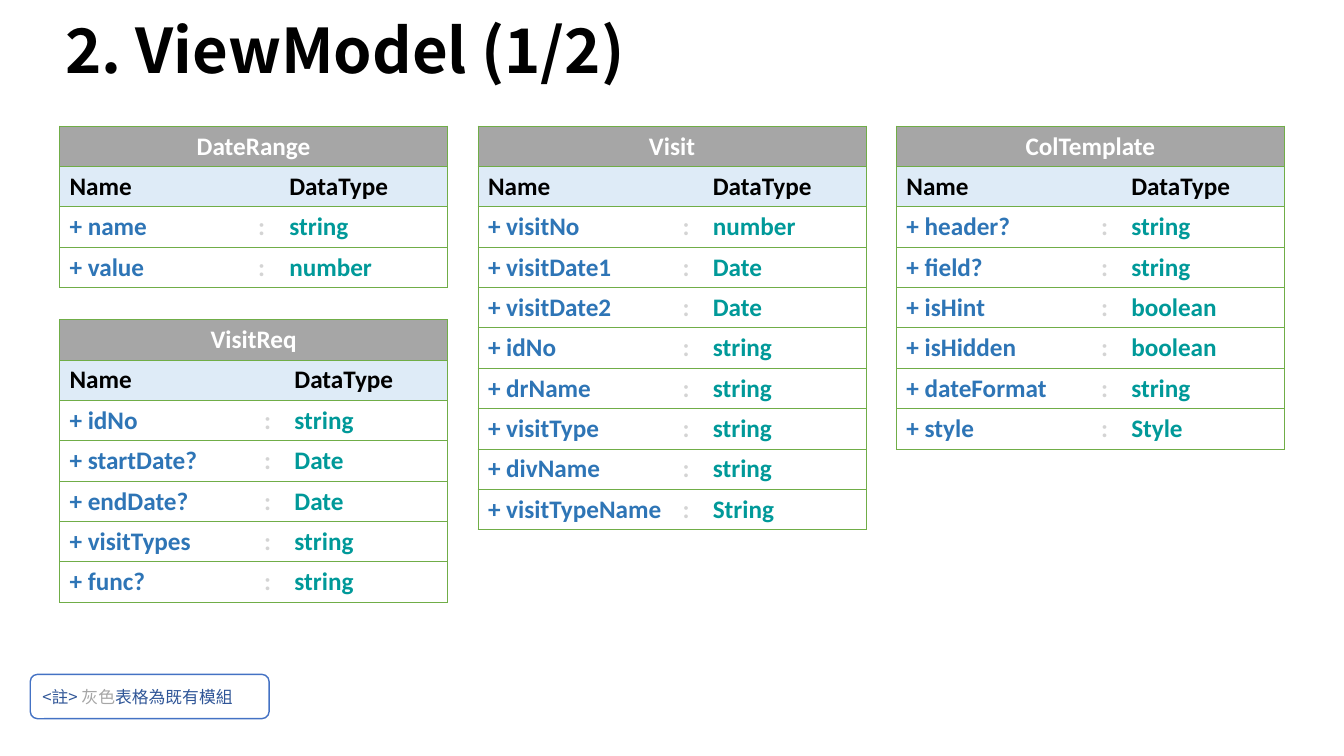
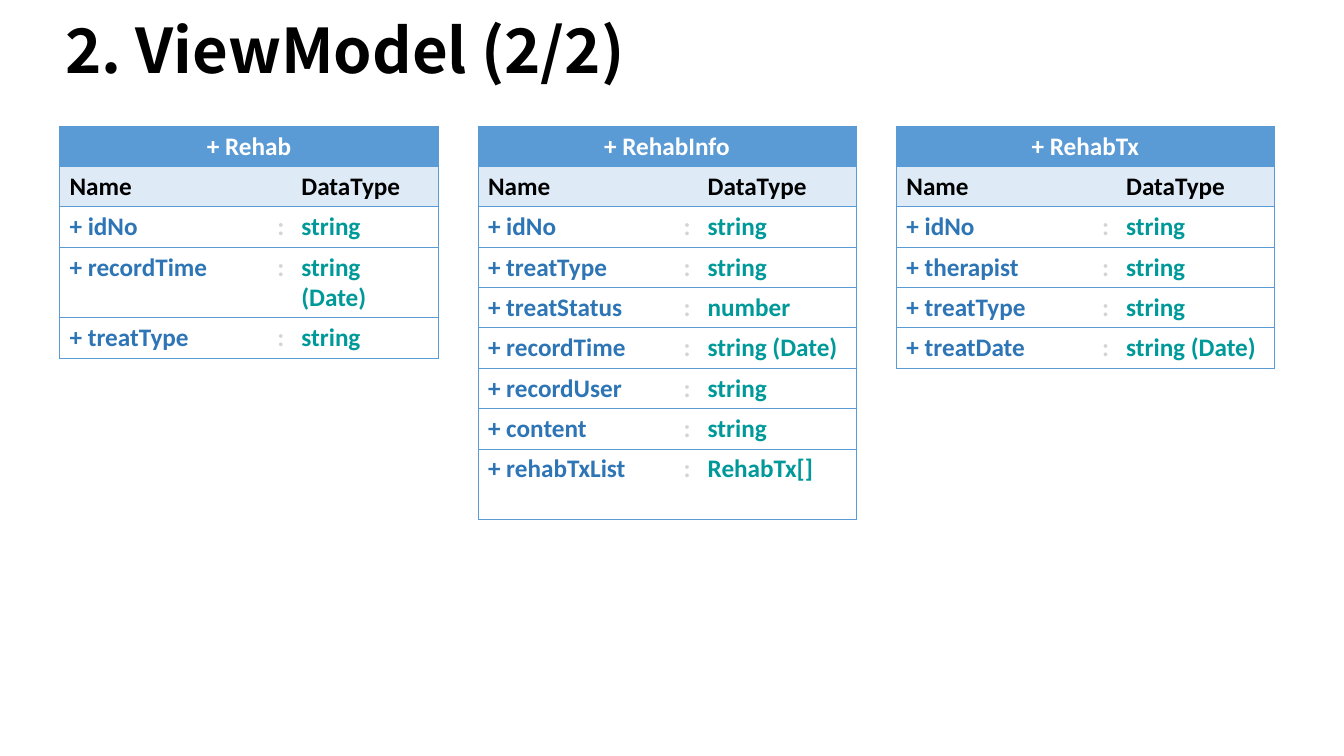
"""Builds two slides of view model tables."""
from lxml import etree
from pptx import Presentation
from pptx.dml.color import RGBColor
from pptx.enum.shapes import MSO_SHAPE
from pptx.enum.text import MSO_ANCHOR, PP_ALIGN
from pptx.oxml.ns import qn
from pptx.util import Inches, Pt

ROUNDED = MSO_SHAPE.ROUNDED_RECTANGLE
MIDDLE = MSO_ANCHOR.MIDDLE
LEFT, CENTER = PP_ALIGN.LEFT, PP_ALIGN.CENTER

BLACK = RGBColor(0x00, 0x00, 0x00)
WHITE = RGBColor(0xFF, 0xFF, 0xFF)
GRAY = RGBColor(0xA6, 0xA6, 0xA6)
PALE_GRAY = RGBColor(0xD4, 0xD4, 0xD4)
PALE_BLUE = RGBColor(0xDE, 0xEB, 0xF7)
BLUE = RGBColor(0x5B, 0x9B, 0xD5)
NAME_BLUE = RGBColor(0x2E, 0x75, 0xB6)
NOTE_BLUE = RGBColor(0x2F, 0x55, 0x97)
NOTE_LINE = RGBColor(0x44, 0x72, 0xC4)
TEAL = RGBColor(0x00, 0x99, 0x99)
GREEN = RGBColor(0x70, 0xAD, 0x47)

TABLE_FONT, HEADING_FONT = "Calibri", "Noto Sans CJK SC"
NO_STYLE = "{2D5ABB26-0587-4C30-8999-92F81FD0307C}"

GRID_LEFT, GRID_TOP, COLUMN_PITCH = 0.59, 1.25, 4.15
ROW_HEIGHT = 0.4
EXISTING = {"fill": GRAY, "border": GREEN, "widths": (1.93, 0.3, 1.62)}
ADDED = {"fill": BLUE, "border": BLUE, "widths": (1.94, 0.23, 1.57)}


def write(paragraph, text, *, size=18, font=TABLE_FONT, color=BLACK, bold=True, align=LEFT):
    """Add a formatted run to a paragraph."""
    paragraph.alignment = align
    run = paragraph.add_run()
    run.text = text
    run.font.size = Pt(size)
    run.font.bold = bold
    run.font.name = font
    run.font.color.rgb = color
    east_asian = etree.SubElement(run._r.get_or_add_rPr(), qn("a:ea"))
    east_asian.set("typeface", font)


def add_title(slide, text):
    """Add the slide title."""
    box = slide.shapes.add_textbox(Inches(0.55), Inches(0.14), Inches(12.17), Inches(0.78))
    frame = box.text_frame
    frame.word_wrap = True
    frame.vertical_anchor = MIDDLE
    frame.paragraphs[0].line_spacing = 0.9
    write(frame.paragraphs[0], text, size=44, font=HEADING_FONT)


def add_note(slide, parts):
    """Add the rounded note holding coloured text parts."""
    note = slide.shapes.add_shape(ROUNDED, Inches(0.3), Inches(6.69), Inches(2.37), Inches(0.44))
    note.shadow.inherit = False
    note.fill.solid()
    note.fill.fore_color.rgb = WHITE
    note.line.color.rgb = NOTE_LINE
    note.line.width = Pt(1)
    note.text_frame.vertical_anchor = MIDDLE
    for text, color in parts:
        write(note.text_frame.paragraphs[0], text, size=12, font=HEADING_FONT, color=color, bold=False)


def set_borders(cell, sides, color):
    """Draw thin lines on the given sides of a cell."""
    properties = cell._tc.get_or_add_tcPr()
    for side in sides:
        line = etree.SubElement(properties, qn(f"a:ln{side}"), w=str(Pt(0.5)))
        fill = etree.SubElement(line, qn("a:solidFill"))
        etree.SubElement(fill, qn("a:srgbClr"), val=str(color))


def format_cell(cell, sides, border, fill):
    """Set the borders and then the fill of a cell."""
    set_borders(cell, sides, border)
    if fill is None:
        cell.fill.background()
    else:
        cell.fill.solid()
        cell.fill.fore_color.rgb = fill


def add_model(slide, column, title, fields, style, *, top=GRID_TOP, widths=None, last_height=ROW_HEIGHT):
    """Add a model as a table of field names and data types."""
    widths = widths or style["widths"]
    row_count = len(fields) + 2
    frame = slide.shapes.add_table(
        row_count, 3, Inches(GRID_LEFT + column * COLUMN_PITCH), Inches(top),
        Inches(sum(widths)), Inches(row_count * ROW_HEIGHT))
    table = frame.table
    table.first_row = table.horz_banding = False
    table._tbl.tblPr.find(qn("a:tableStyleId")).text = NO_STYLE
    for table_column, width in zip(table.columns, widths):
        table_column.width = Inches(width)
    for row in table.rows:
        row.height = Inches(ROW_HEIGHT)
    table.rows[row_count - 1].height = Inches(last_height)

    fills = [style["fill"], PALE_BLUE] + [None] * len(fields)
    for row, fill in zip(table.rows, fills):
        for cell, sides in zip(row.cells, ("LTB", "TB", "RTB")):
            format_cell(cell, sides, style["border"], fill)

    heading = table.cell(0, 0)
    heading.merge(table.cell(0, 2))
    set_heading_edge = heading._tc.get_or_add_tcPr().find(qn("a:lnL"))
    right_edge = etree.Element(qn("a:lnR"), w=str(Pt(0.5)))
    right_edge.extend([etree.fromstring(etree.tostring(child)) for child in set_heading_edge])
    set_heading_edge.addnext(right_edge)
    write(heading.text_frame.paragraphs[0], title, color=WHITE, align=CENTER)
    for index, label in ((0, "Name"), (2, "DataType")):
        write(table.cell(1, index).text_frame.paragraphs[0], label)
    for row_index, (name, data_type) in enumerate(fields, start=2):
        texts = ((f"+ {name}", NAME_BLUE), (":", PALE_GRAY), (data_type, TEAL))
        for index, (text, color) in enumerate(texts):
            write(table.cell(row_index, index).text_frame.paragraphs[0], text, color=color)


def add_slide(presentation, title):
    """Add a blank slide with a title."""
    slide = presentation.slides.add_slide(presentation.slide_layouts[6])
    add_title(slide, title)
    return slide


def build_existing_models(presentation):
    """Build the slide of mostly existing models."""
    slide = add_slide(presentation, "2. ViewModel (1/2)")
    add_model(slide, 0, "DateRange", [("name", "string"), ("value", "number")],
              EXISTING, widths=(1.87, 0.31, 1.67))
    add_model(slide, 0, "VisitReq", [
        ("idNo", "string"), ("startDate?", "Date"), ("endDate?", "Date"),
        ("visitTypes", "string"), ("func?", "string")], EXISTING, top=3.17)
    add_model(slide, 1, "Visit", [
        ("visitNo", "number"), ("visitDate1", "Date"), ("visitDate2", "Date"),
        ("idNo", "string"), ("drName", "string"), ("visitType", "string"),
        ("divName", "string"), ("visitTypeName", "String")], EXISTING)
    add_model(slide, 2, "ColTemplate", [
        ("header?", "string"), ("field?", "string"), ("isHint", "boolean"),
        ("isHidden", "boolean"), ("dateFormat", "string"), ("style", "Style")], EXISTING)
    add_note(slide, [("<註> ", NOTE_BLUE), ("灰色", GRAY), ("表格為既有模組", NOTE_BLUE)])


def build_added_models(presentation):
    """Build the slide of added models."""
    slide = add_slide(presentation, "2. ViewModel (2/2)")
    add_model(slide, 0, "+ Rehab", [
        ("idNo", "string"), ("recordTime", "string (Date)"), ("treatType", "string")],
        ADDED, widths=(2.06, 0.23, 1.46))
    add_model(slide, 1, "+ RehabInfo", [
        ("idNo", "string"), ("treatType", "string"), ("treatStatus", "number"),
        ("recordTime", "string (Date)"), ("recordUser", "string"),
        ("content", "string"), ("rehabTxList", "RehabTx[]")], ADDED, last_height=0.7)
    add_model(slide, 2, "+ RehabTx", [
        ("idNo", "string"), ("therapist", "string"), ("treatType", "string"),
        ("treatDate", "string (Date)")], ADDED)


def main():
    """Build and save the presentation."""
    presentation = Presentation()
    presentation.slide_width = Inches(13.33)
    presentation.slide_height = Inches(7.5)
    build_existing_models(presentation)
    build_added_models(presentation)
    presentation.save("out.pptx")


if __name__ == "__main__":
    main()
